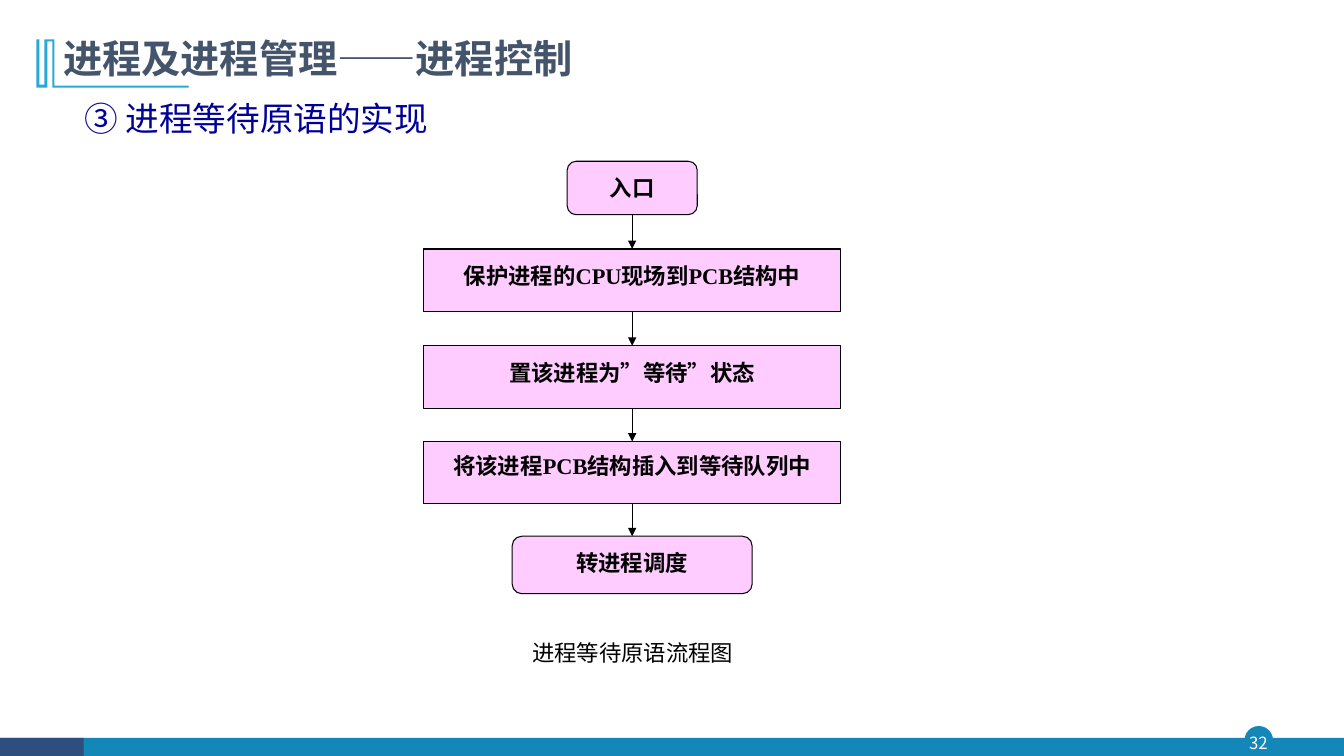
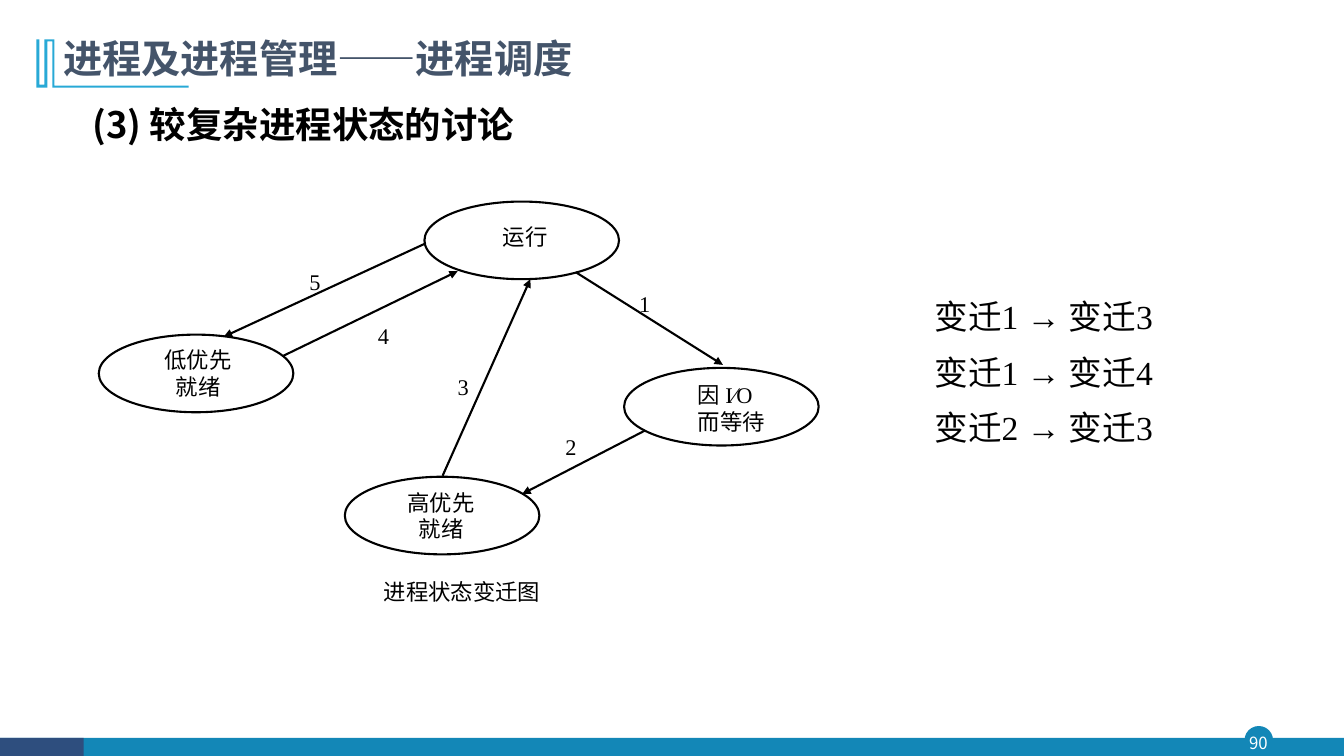
from itertools import pairwise

from lxml import etree
from pptx import Presentation
from pptx import util as u
from pptx.dml.color import RGBColor
from pptx.enum import shapes, text
from pptx.oxml import ns

Inches = u.Inches
BLUE = RGBColor(0x13, 0x87, 0xB7)
NAVY = RGBColor(0x2E, 0x4E, 0x7E)
CYAN = RGBColor(0x28, 0xA9, 0xD6)
SLATE = RGBColor(0x44, 0x54, 0x6A)
INDIGO = RGBColor(0x00, 0x00, 0x99)
PINK = RGBColor(0xFF, 0xCC, 0xFF)
BLACK = RGBColor(0, 0, 0)
WHITE = RGBColor(255, 255, 255)
SANS = "Noto Sans CJK SC"
SERIF = "Times New Roman"
LEFT, CENTER = text.PP_ALIGN.LEFT, text.PP_ALIGN.CENTER
TOP, MIDDLE = text.MSO_ANCHOR.TOP, text.MSO_ANCHOR.MIDDLE
KIND = shapes.MSO_SHAPE

TITLE_MARK = [
    (0.54, 0.39), (0.54, 0.85), (1.87, 0.85), (1.87, 0.87), (0.52, 0.87),
    (0.52, 0.41), (0.47, 0.41), (0.47, 0.87), (0.36, 0.87), (0.36, 0.39),
    (0.39, 0.39), (0.39, 0.84), (0.44, 0.84), (0.44, 0.39),
]


def write(shape, content, size=16, font=SERIF, color=BLACK, bold=False,
          align=LEFT, anchor=TOP, spacing=1.0, insets=(0.1, 0.05, 0.1, 0.05)):
    frame = shape.text_frame
    frame.text = content
    frame.word_wrap = True
    frame.vertical_anchor = anchor
    (frame.margin_left, frame.margin_top,
     frame.margin_right, frame.margin_bottom) = map(Inches, insets)
    for paragraph in frame.paragraphs:
        paragraph.alignment = align
        paragraph.line_spacing = spacing
        for run in paragraph.runs:
            run.font.size = u.Pt(size)
            run.font.name = font
            run.font.bold = bold
            run.font.color.rgb = color
            if font == SANS:
                east_asian = etree.SubElement(run.font._element, ns.qn("a:ea"))
                east_asian.set("typeface", SANS)


def add_text(slide, box, content, **style):
    write(slide.shapes.add_textbox(*map(Inches, box)), content, **style)


def paint(shape, fill=None, line=None, width=1.0):
    shape.shadow.inherit = False
    if fill is None:
        shape.fill.background()
    else:
        shape.fill.solid()
        shape.fill.fore_color.rgb = fill
    if line is None:
        shape.line.fill.background()
    else:
        shape.line.color.rgb = line
        shape.line.width = u.Pt(width)


def add_box(slide, kind, box, **colors):
    shape = slide.shapes.add_shape(kind, *map(Inches, box))
    paint(shape, **colors)
    return shape


def add_arrow(slide, start, end, width):
    arrow = slide.shapes.add_connector(
        shapes.MSO_CONNECTOR.STRAIGHT, *map(Inches, (*start, *end)))
    arrow.line.color.rgb = BLACK
    arrow.line.width = u.Pt(width)
    properties = arrow._element.spPr
    line = properties.find(ns.qn("a:ln"))
    etree.SubElement(line, ns.qn("a:tailEnd")).set("type", "triangle")
    etree.SubElement(properties, ns.qn("a:effectLst"))


def add_frame(presentation, title, number):
    slide = presentation.slides.add_slide(presentation.slide_layouts[6])
    add_box(slide, KIND.OVAL, (12.35, 7.21, 0.27, 0.27), fill=BLUE, line=BLUE)
    add_box(slide, KIND.RECTANGLE, (0, 7.32, 13.33, 0.18), fill=BLUE)
    add_box(slide, KIND.RECTANGLE, (0, 7.32, 0.83, 0.18), fill=NAVY)
    add_text(slide, (12.32, 7.21, 0.32, 0.31), str(number), size=12, font=SANS,
             color=WHITE, align=CENTER, anchor=MIDDLE, insets=(0, 0, 0, 0))
    points = [(Inches(x), Inches(y)) for x, y in TITLE_MARK]
    builder = slide.shapes.build_freeform(*points[0])
    builder.add_line_segments(points[1:], close=True)
    paint(builder.convert_to_shape(), fill=CYAN)
    add_text(slide, (0.53, 0.34, 10.49, 0.56), title, size=28, font=SANS,
             color=SLATE, bold=True, spacing=0.9)
    return slide


def add_flowchart(slide, center, top):
    steps = [
        ("入口", KIND.ROUNDED_RECTANGLE, 0, 1.29, 0.53, 1.2),
        ("保护进程的CPU现场到PCB结构中", KIND.RECTANGLE, 0.87, 4.13, 0.62, 1.3),
        ("置该进程为”等待”状态", KIND.RECTANGLE, 1.83, 4.13, 0.62, 1.3),
        ("将该进程PCB结构插入到等待队列中", KIND.RECTANGLE, 2.78, 4.13, 0.62, 1.2),
        ("转进程调度", KIND.ROUNDED_RECTANGLE, 3.72, 2.38, 0.57, 1.2),
    ]
    for label, kind, offset, width, height, spacing in steps:
        box = (center - width / 2, top + offset, width, height)
        shape = add_box(slide, kind, box, fill=PINK, line=BLACK, width=0.75)
        write(shape, label, bold=True, align=CENTER, spacing=spacing)
    for upper, lower in pairwise(steps):
        add_arrow(slide, (center, top + upper[2] + upper[4]),
                  (center, top + lower[2]), 0.75)


def add_state_diagram(slide, left, top):
    states = [
        ("运行", 3.23, 0, CENTER, (0.07, 0, 0, 0.07)),
        ("因 I∕O\n而等待", 5.21, 1.65, LEFT, (0.45, 0.03, 0, 0)),
        ("高优先\n就绪", 2.44, 2.73, CENTER, (0, 0, 0.02, 0)),
        ("低优先\n就绪", 0, 1.32, CENTER, (0.04, 0, 0, 0)),
    ]
    for label, x, y, align, insets in states:
        shape = add_box(slide, KIND.OVAL, (left + x, top + y, 1.93, 0.77),
                        line=BLACK, width=1.5)
        write(shape, label, align=align, anchor=MIDDLE, insets=insets)
    transitions = [
        ("1", (4.73, 0.7), (6.19, 1.62), (5.26, 0.83)),
        ("2", (5.42, 2.27), (4.2, 2.9), (4.53, 2.25)),
        ("3", (3.41, 2.72), (4.28, 0.77), (3.46, 1.65)),
        ("4", (1.83, 1.53), (3.56, 0.69), (2.67, 1.15)),
        ("5", (3.23, 0.42), (1.24, 1.34), (1.99, 0.61)),
    ]
    for label, start, end, place in transitions:
        start, end, place = ((left + x, top + y) for x, y in (start, end, place))
        add_arrow(slide, start, end, 1.5)
        add_text(slide, (*place, 0.43, 0.4), label)


def add_transition_list(slide, left, top):
    for row, (cause, effect) in enumerate([(1, 3), (1, 4), (2, 3)]):
        add_text(slide, (left, top + row * 0.55, 2.92, 0.5),
                 f"变迁{cause} → 变迁{effect}", size=24)


def build_wait_slide(presentation):
    slide = add_frame(presentation, "进程及进程管理——进程控制", 32)
    add_text(slide, (0.74, 0.84, 4.24, 0.58), "③ 进程等待原语的实现",
             size=24, color=INDIGO, spacing=1.2)
    add_flowchart(slide, 6.27, 1.6)
    add_text(slide, (5.18, 6.24, 2.35, 0.42), "进程等待原语流程图", spacing=1.2)


def build_state_slide(presentation):
    slide = add_frame(presentation, "进程及进程管理——进程调度", 90)
    add_text(slide, (0.82, 0.75, 6.7, 0.68), "(3) 较复杂进程状态的讨论",
             size=26, font=SANS, bold=True, spacing=1.5)
    add_state_diagram(slide, 0.98, 2)
    add_transition_list(slide, 9.17, 2.89)
    add_text(slide, (3.71, 5.63, 1.99, 0.42), "进程状态变迁图", spacing=1.2)


def main():
    presentation = Presentation()
    presentation.slide_width = Inches(13.33)
    presentation.slide_height = Inches(7.5)
    build_wait_slide(presentation)
    build_state_slide(presentation)
    presentation.save("out.pptx")


if __name__ == "__main__":
    main()
